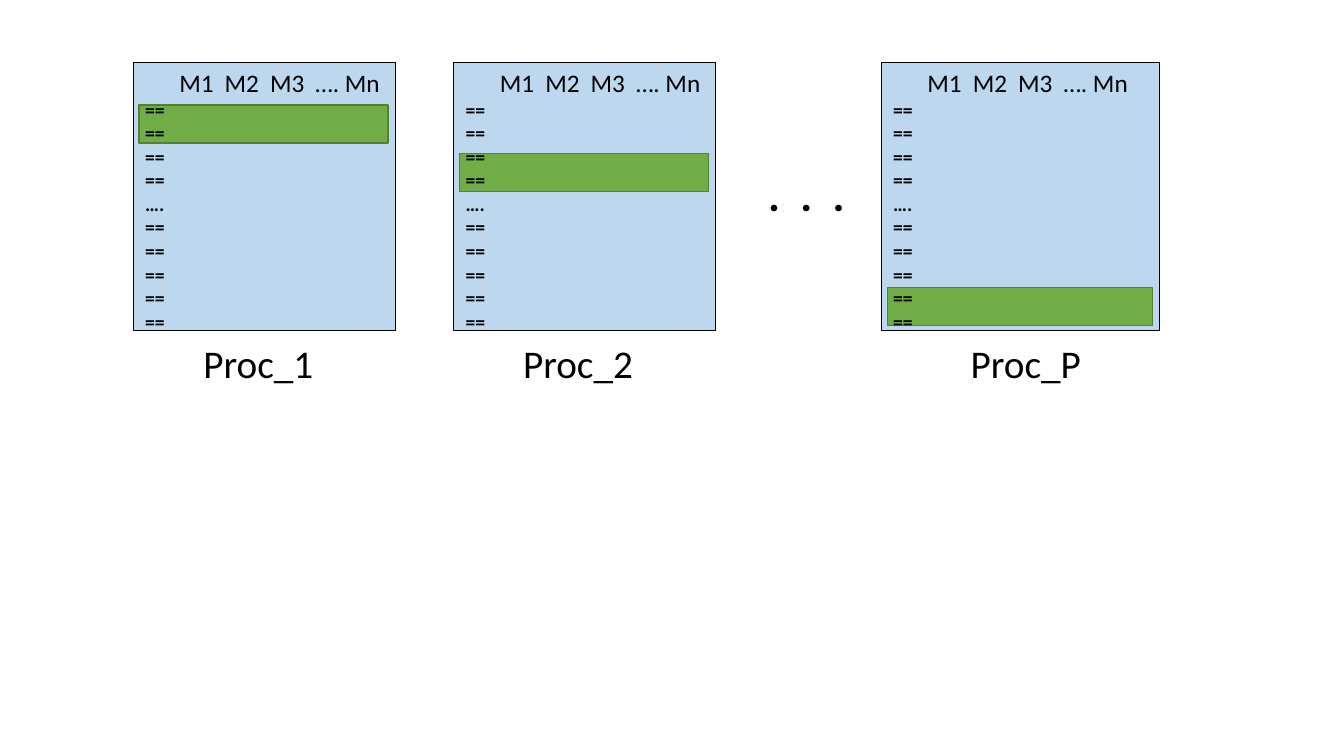
from dataclasses import dataclass
from lxml.etree import SubElement
from pptx import Presentation
from pptx.dml.color import RGBColor as Rgb
from pptx.enum.shapes import MSO_SHAPE as Shape
from pptx.oxml.ns import qn
from pptx.util import Inches, Pt

CELL = Inches(0.1)


@dataclass(frozen=True)
class Theme:
    font: str = "Calibri"
    ink: str = "000000"
    panel: str = "BDD7EE"
    band: str = "70AD47"
    band_edge: str = "538035"
    rows_size: int = 14
    header_size: int = 18
    label_size: int = 28
    dots_size: int = 32


@dataclass(frozen=True)
class Box:
    left: float
    top: float
    width: float
    height: float

    def inner(self, left, top, width, height):
        return Box(self.left + left, self.top + top, width, height)

    def emu(self):
        return [round(n * CELL) for n in (self.left, self.top, self.width, self.height)]


THEME = Theme()
HEADER = "M1\tM2\tM3\t…. Mn"
ROWS = "==" * 4 + "…." + "==" * 5


def add_rect(slide, box, fill, edge, weight):
    rect = slide.shapes.add_shape(Shape.RECTANGLE, *box.emu())
    rect.shadow.inherit = False
    rect.fill.solid()
    rect.fill.fore_color.rgb = Rgb.from_string(fill)
    rect.line.color.rgb = Rgb.from_string(edge)
    rect.line.width = Pt(weight)


def add_text(slide, box, text, size, bold=False, stops=()):
    frame = slide.shapes.add_textbox(*box.emu()).text_frame
    frame.word_wrap = True
    frame.text = text
    paragraph = frame.paragraphs[0]
    if stops:
        tabs = SubElement(paragraph._p.get_or_add_pPr(), qn("a:tabLst"))
        for stop in stops:
            SubElement(tabs, qn("a:tab"), pos=str(round(stop * CELL)), algn="l")
    for run in paragraph.runs:
        run.font.name = THEME.font
        run.font.size = Pt(size)
        run.font.bold = bold
        run.font.color.rgb = Rgb.from_string(THEME.ink)


def add_process(slide, box, band_top):
    add_rect(slide, box, THEME.panel, THEME.ink, 0.5)
    add_text(slide, box.inner(3.6, 0, box.width - 3.8, 4), HEADER,
             THEME.header_size, stops=[4.5, 9, 13.5])
    add_rect(slide, box.inner(0.6, band_top, box.width - 1.3, 3.8),
             THEME.band, THEME.band_edge, 1)
    add_text(slide, box.inner(0.2, 3, box.width * 0.17, 24.6), ROWS,
             THEME.rows_size, bold=True)


def add_ellipsis(slide, box):
    add_text(slide, box, ".\t.\t.", THEME.dots_size, bold=True, stops=[3.2, 6.4])


def add_process_labels(slide, box):
    add_text(slide, box, "Proc_1\tProc_2\tProc_P", THEME.label_size,
             stops=[31.7, 76.1])


def main():
    deck = Presentation()
    deck.slide_width, deck.slide_height = Inches(13.33), Inches(7.5)
    slide = deck.slides.add_slide(deck.slide_layouts[6])
    for left, width, band_top in ((13.2, 26, 4.2), (45, 26, 9), (87.4, 27.6, 22.3)):
        add_process(slide, Box(left, 6.2, width, 26.6), band_top)
    add_ellipsis(slide, Box(75.2, 16.1, 12.2, 6.4))
    add_process_labels(slide, Box(19.2, 33.2, 89.6, 10.4))
    deck.save("out.pptx")


if __name__ == "__main__":
    main()
